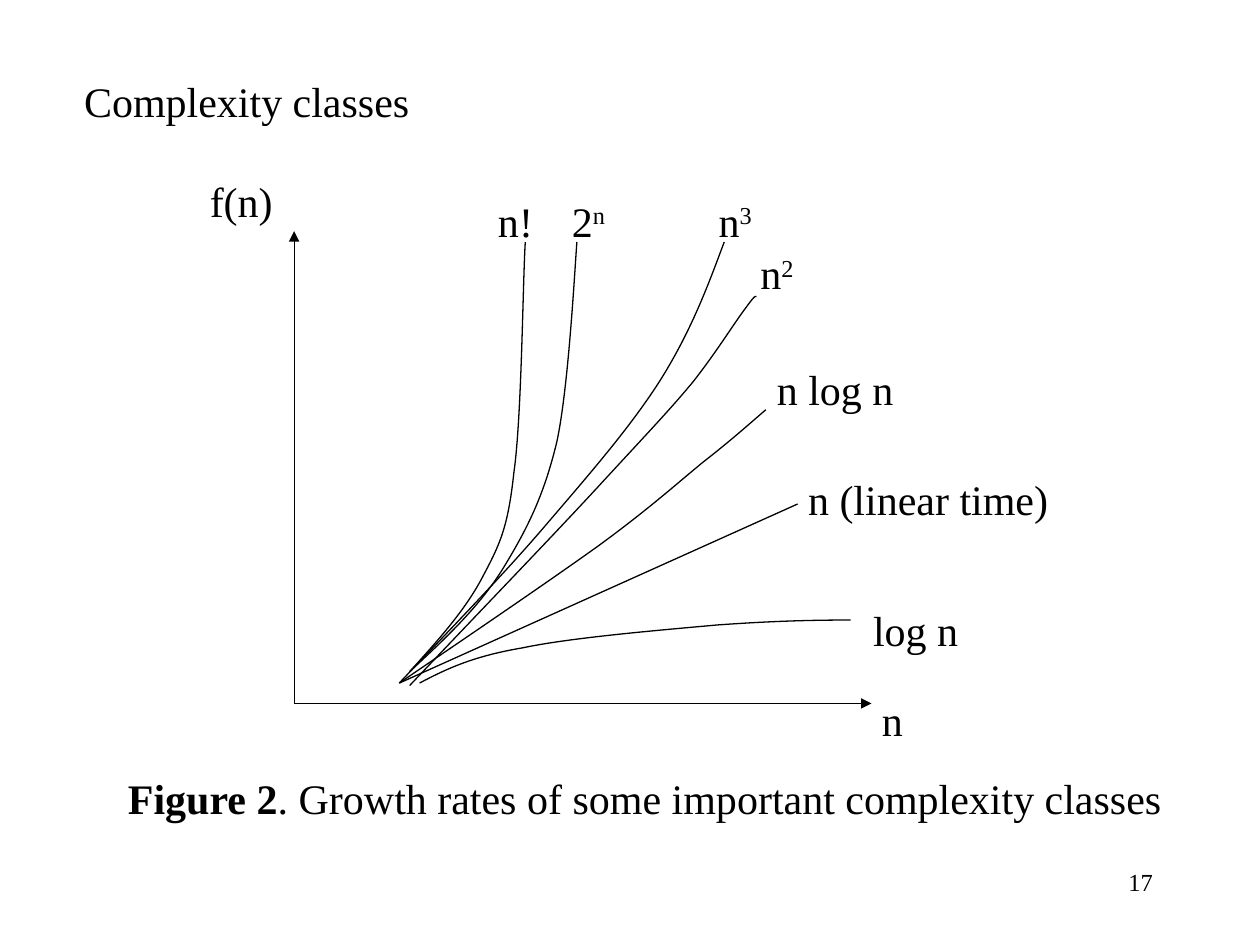
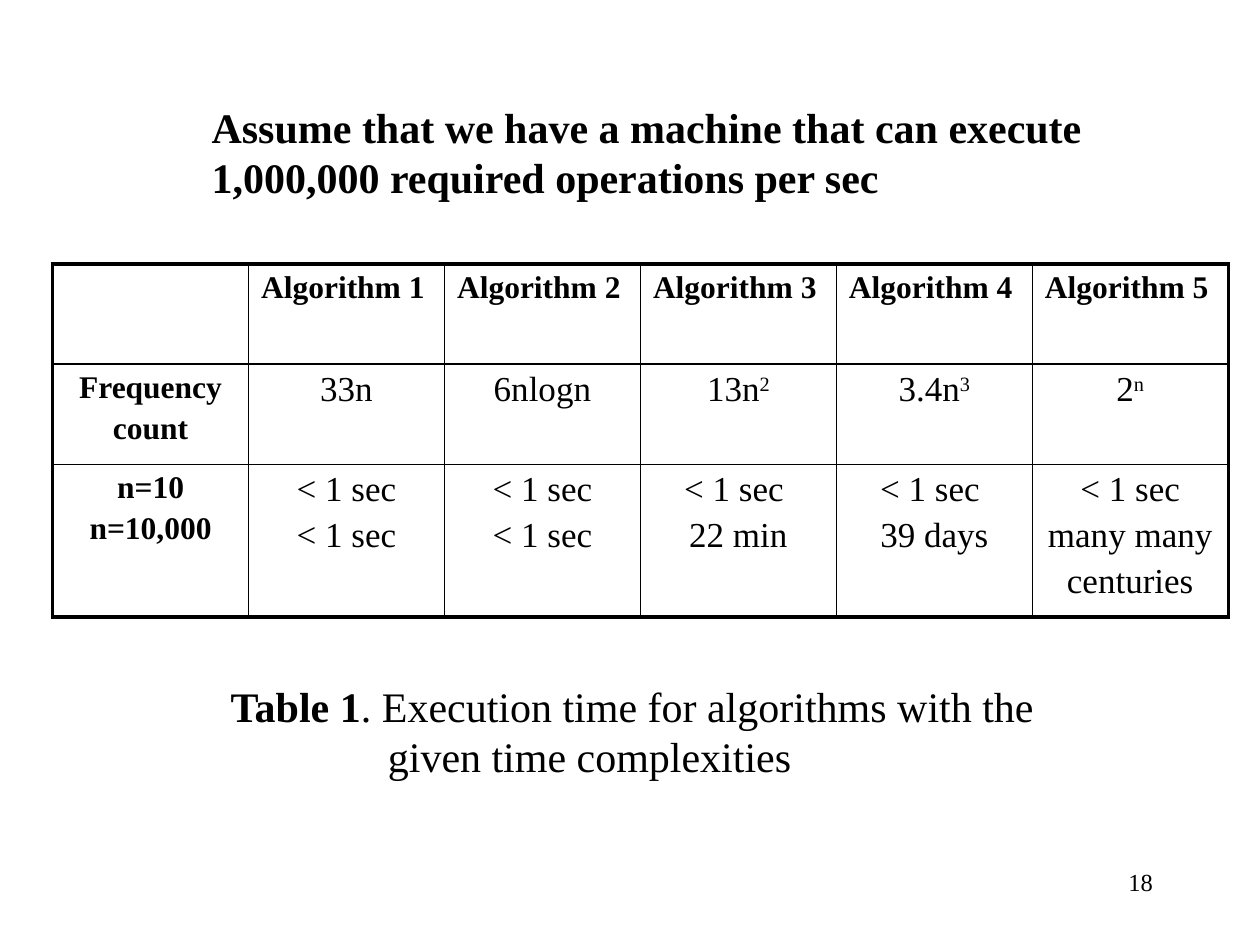
from dataclasses import dataclass

from lxml import etree
from pptx import Presentation
from pptx.dml.color import RGBColor
from pptx.enum.shapes import MSO_CONNECTOR
from pptx.enum.text import MSO_ANCHOR, MSO_AUTO_SIZE, PP_ALIGN
from pptx.oxml.ns import qn
from pptx.util import Cm, Pt

LEFT, MID, RIGHT = PP_ALIGN.LEFT, PP_ALIGN.CENTER, PP_ALIGN.RIGHT
TOP = MSO_ANCHOR.TOP
FIXED = MSO_AUTO_SIZE.NONE
LINE = MSO_CONNECTOR.STRAIGHT


@dataclass
class Theme:
    font: str = "Times New Roman"
    ink: RGBColor = RGBColor(0, 0, 0)
    main: int = 24
    cell: int = 20
    head: int = 18
    page: int = 14
    thin: float = 0.75
    grid: float = 1
    edge: float = 2.25


look = Theme()


def write(para, text, size, bold=False, align=LEFT):
    para.alignment = align
    para.font.name = look.font
    para.font.size = Pt(size)
    para.font.bold = bold
    para.font.color.rgb = look.ink
    for i, part in enumerate(text.split("^")):
        run = para.add_run()
        run.text = part
        if i % 2:
            run._r.get_or_add_rPr().set("baseline", "30000")


def box(slide, text, place, size=look.main, align=LEFT, wrap=True):
    frame = slide.shapes.add_textbox(*map(Cm, place)).text_frame
    frame.word_wrap = wrap
    write(frame.paragraphs[0], text, size, align=align)
    return frame.paragraphs[0]


deck = Presentation()
deck.slide_width, deck.slide_height = Cm(25.4), Cm(19.05)

heads = [
    ("Complexity classes", False, (1.44, 1.39, 22.28, 1.27)),
    ("Assume that we have a machine that can execute "
     "1,000,000 required operations per sec", True, (4.01, 1.91, 18.67, 2.29)),
]
notes = [
    ("Figure 2", ". Growth rates of some important complexity classes",
     (2.33, 15.44, 21.79, 1.27), 0),
    ("Table 1", ". Execution time for algorithms with the "
     "given time complexities", (4.4, 13.59, 17.53, 2.29), 3.17),
]
slides = []
for page, (head, note) in enumerate(zip(heads, notes), 17):
    slide = deck.slides.add_slide(deck.slide_layouts[5])
    slides.append(slide)
    text, bold, place = head
    title = slide.shapes.title
    title.left, title.top, title.width, title.height = map(Cm, place)
    title.text_frame.vertical_anchor = TOP
    title.text_frame.auto_size = FIXED
    title.text_frame.word_wrap = True
    write(title.text_frame.paragraphs[0], text, look.main, bold)

    label, text, place, hang = note
    para = box(slide, label, place)
    para.runs[0].font.bold = True
    para.add_run().text = text
    props = para._p.get_or_add_pPr()
    props.set("marL", str(Cm(hang)))
    props.set("indent", str(-Cm(hang)))

    box(slide, str(page), (18.21, 17.35, 5.28, 1.27), look.page, RIGHT)

graph, sheet = slides

labels = [
    ("f(n)", 3.98, 3.41, 2),
    ("n!", 9.79, 3.81, 1.22),
    ("2^n", 11.28, 3.81, 1.22),
    ("n^3", 14.24, 3.81, 1.22),
    ("n^2", 15.08, 4.87, 1.22),
    ("n log n", 15.41, 7.2, 2.87),
    ("n (linear time)", 16.04, 9.42, 5.6),
    ("log n", 17.35, 12.07, 2.24),
    ("n", 17.53, 13.87, 0.94),
]
for text, x, y, wide in labels:
    box(graph, text, (x, y, wide, 1.27), wrap=False)

lines = [
    ((8.05, 13.77, 16.08, 10.16), False),
    ((5.93, 14.18, 17.57, 14.18), True),
    ((5.93, 14.18, 5.93, 4.66), True),
]
for ends, arrow in lines:
    line = graph.shapes.add_connector(LINE, *map(Cm, ends))
    line.line.color.rgb = look.ink
    line.line.width = Pt(look.thin)
    if arrow:
        etree.SubElement(line.line._get_or_add_ln(), qn("a:tailEnd"), type="triangle")
    etree.SubElement(line._element.spPr, qn("a:effectLst"))

curves = [
    [(8.26, 13.82), (9.68, 12.32), (11.13, 10.82), (12.07, 9.8),
     (13, 8.79), (13.49, 8.28), (13.97, 7.7),
     (14.45, 7.09), (14.81, 6.5), (15.04, 6.2),
     (15.24, 5.92), (15.24, 5.97), (15.24, 5.99)],
    [(8.05, 13.77), (9.55, 12.75), (11.05, 11.73), (12.07, 11),
     (13.08, 10.26), (13.61, 9.78), (14.17, 9.32),
     (14.76, 8.86), (15.09, 8.56), (15.44, 8.26)],
    [(8.05, 13.77), (9.09, 12.67), (10.13, 11.61), (11, 10.59),
     (11.89, 9.55), (12.73, 8.59), (13.34, 7.62),
     (13.94, 6.65), (14.27, 5.77), (14.6, 4.88)],
    [(8.26, 13.54), (8.97, 12.88), (9.68, 12.22), (10.16, 11.43),
     (10.64, 10.64), (10.97, 9.98), (11.23, 8.89),
     (11.46, 7.8), (11.58, 5.56), (11.63, 4.88)],
    [(8.26, 13.54), (8.81, 12.93), (9.37, 12.32), (9.73, 11.63),
     (10.08, 10.97), (10.24, 10.64), (10.36, 9.53),
     (10.52, 8.41), (10.54, 5.69), (10.59, 4.88)],
    [(8.46, 13.77), (8.99, 13.49), (9.53, 13.23), (10.54, 13.06),
     (11.53, 12.85), (13.36, 12.7), (14.45, 12.6),
     (15.57, 12.52), (16.36, 12.5), (17.15, 12.5)],
]
for points in curves:
    start, *rest = [(Cm(x), Cm(y)) for x, y in points]
    pen = graph.shapes.build_freeform(*start)
    pen.add_line_segments(rest, close=False)
    curve = pen.convert_to_shape()
    curve.shadow.inherit = False
    curve.fill.background()
    curve.line.color.rgb = look.ink
    curve.line.width = Pt(look.thin)
    trace = curve._element.find(".//" + qn("a:path"))
    steps = trace.findall(qn("a:lnTo"))
    for i in range(0, len(steps), 3):
        bend = etree.SubElement(trace, qn("a:cubicBezTo"))
        for step in steps[i:i + 3]:
            bend.append(step[0])
            trace.remove(step)

rows = [
    [""] + [f"Algorithm {i}" for i in range(1, 6)],
    ["Frequency\ncount", "33n", "6nlogn", "13n^2", "3.4n^3", "2^n"],
    ["n=10\nn=10,000", "< 1 sec\n< 1 sec", "< 1 sec\n< 1 sec",
     "< 1 sec \n22 min", "< 1 sec \n39 days", "< 1 sec\nmany many\ncenturies"],
]
high = [2.02, 2.02, 3.08]
last, end = len(rows) - 1, len(rows[0]) - 1
place = map(Cm, (1.06, 5.32, 23.7, sum(high)))
table = sheet.shapes.add_table(last + 1, end + 1, *place).table
table.first_row = table.horz_banding = False
for col in table.columns:
    col.width = Cm(3.95)
for r, row in enumerate(rows):
    table.rows[r].height = Cm(high[r])
    for c, text in enumerate(row):
        cell = table.cell(r, c)
        props = cell._tc.get_or_add_tcPr()
        outer = {"L": c == 0, "R": c == end, "T": r == 0, "B": r == last}
        for side, rim in outer.items():
            width = Pt(look.edge if rim else look.grid)
            rule = etree.SubElement(props, qn(f"a:ln{side}"), w=str(width))
            fill = etree.SubElement(rule, qn("a:solidFill"))
            etree.SubElement(fill, qn("a:srgbClr"), val=str(look.ink))
        cell.fill.background()
        bold = r == 0 or c == 0
        size = look.head if bold else look.cell
        for i, part in enumerate(text.split("\n")):
            para = cell.text_frame.add_paragraph() if i else cell.text_frame.paragraphs[0]
            if i:
                para.space_before = Pt(size * 0.2)
            if part:
                write(para, part, size, bold, MID if r else LEFT)

deck.save("out.pptx")
